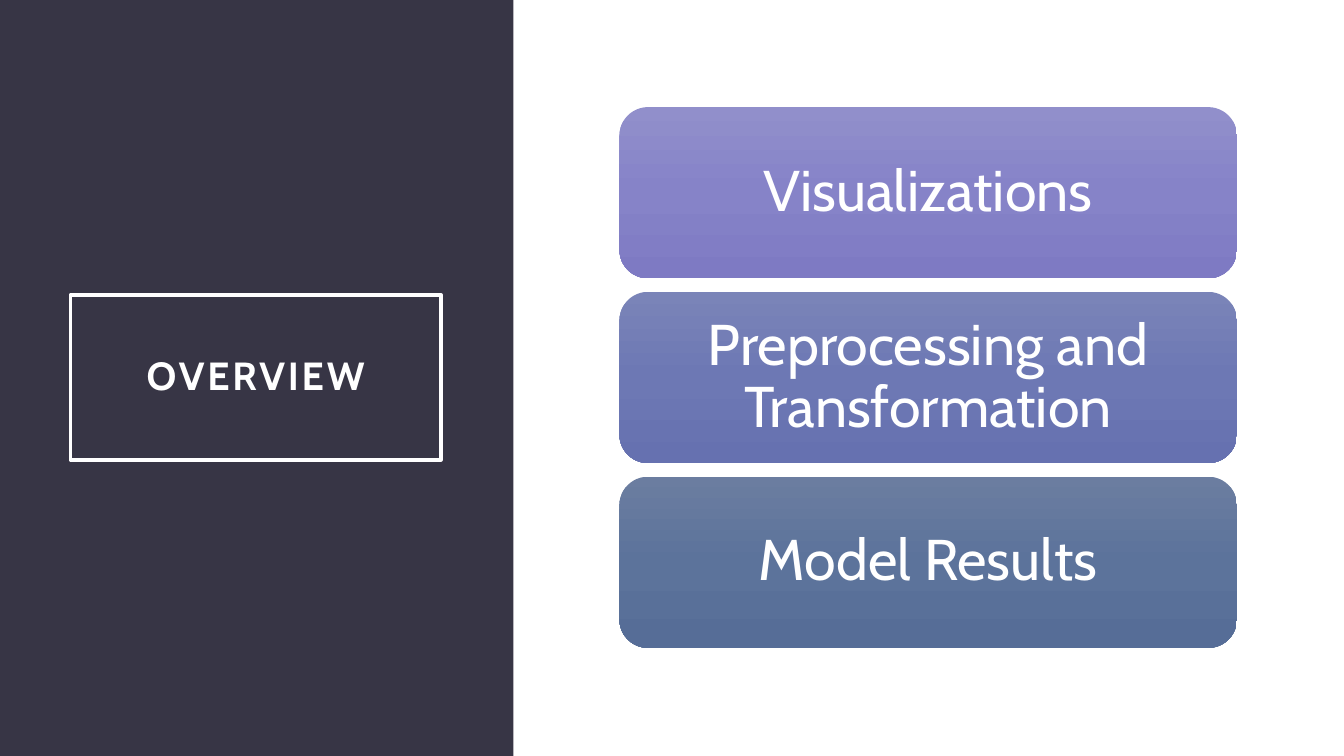
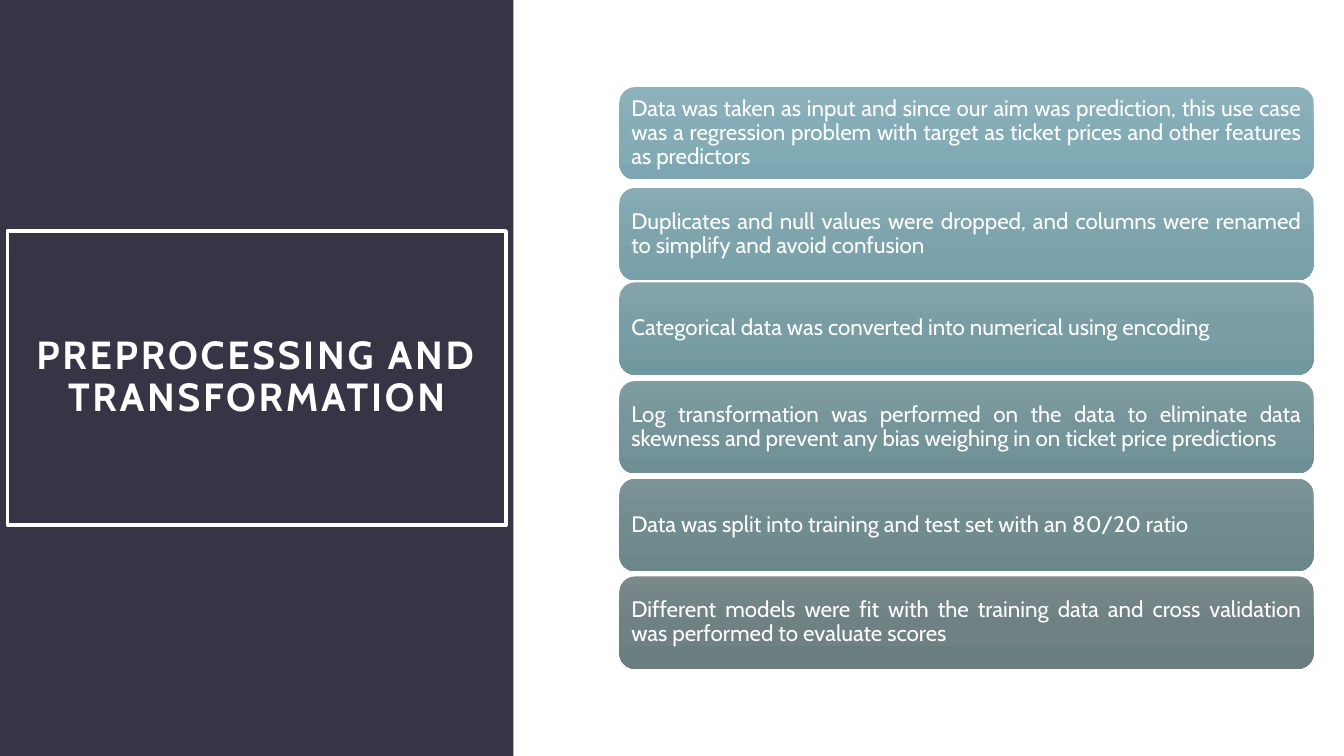
from copy import deepcopy

from pptx import Presentation
from pptx.dml.color import RGBColor
from pptx.enum.shapes import MSO_SHAPE as Shape
from pptx.enum.text import MSO_ANCHOR as Anchor, MSO_AUTO_SIZE as AutoSize, PP_ALIGN as Align
from pptx.oxml.ns import qn
from pptx.util import Pt

PX = 9525
FONT = "Cabin"
WHITE = "FFFFFF"
PANEL = "373545"
PANEL_WIDTH, SLIDE_WIDTH, SLIDE_HEIGHT = 489, 1280, 720
CARD_LEFT = 590


def color(code):
    return RGBColor.from_string(code)


def write(shape, text, size, align=Align.CENTER, inset=0, bold=False, tracking=0):
    """Set the shape's text; inset is in px, tracking in hundredths of a point."""
    frame = shape.text_frame
    frame.word_wrap = True
    frame.auto_size = AutoSize.NONE
    frame.vertical_anchor = Anchor.MIDDLE
    frame.margin_left = frame.margin_right = inset * PX
    frame.margin_top = frame.margin_bottom = inset * PX
    para = frame.paragraphs[0]
    para.alignment = align
    para.line_spacing = 0.9
    span = para.add_run()
    span.text = text
    span.font.name = FONT
    span.font.size = Pt(size)
    span.font.bold = bold
    span.font.color.rgb = color(WHITE)
    if tracking:
        span._r.get_or_add_rPr().set("spc", str(tracking))


# Each card: top, text, gradient colours from top to bottom
pages = [
    {
        "title": "OVERVIEW",
        "title_box": (67, 281, 353, 157),
        "card_size": (588, 163),
        "text_format": {"size": 41, "inset": 16},
        "cards": [
            (102, "Visualizations", ("918FCB", "8683C8", "7E7AC3")),
            (278, "Preprocessing and Transformation", ("7A84B8", "6D78B4", "6671B0")),
            (454, "Model Results", ("6B7DA0", "5C739B", "566D97")),
        ],
    },
    {
        "title": "PREPROCESSING AND TRANSFORMATION",
        "title_box": (7, 220, 475, 280),
        "card_size": (661, 88),
        "text_format": {"size": 16, "inset": 7, "align": Align.JUSTIFY},
        "cards": [
            (83, "Data was taken as input and since our aim was prediction, this use case "
                 "was a regression problem with target as ticket prices and other features "
                 "as predictors", ("8EB2BB", "83ACB7", "7CA7B2")),
            (179, "Duplicates and null values were dropped, and columns were renamed "
                  "to simplify and avoid confusion", ("89ABB3", "7EA5AE", "77A0A9")),
            (269, "Categorical data was converted into numerical using encoding",
             ("84A4AA", "799DA4", "72989F")),
            (363, "Log transformation was performed on the data to eliminate data "
                  "skewness and prevent any bias weighing in on ticket price predictions",
             ("809CA0", "75959A", "6E9095")),
            (456, "Data was split into training and test set with an 80/20 ratio",
             ("7C9397", "718C8F", "6B878B")),
            (549, "Different models were fit with the training data and cross validation was "
                  "performed to evaluate scores", ("7A8A8B", "6F8183", "6A7D7F")),
        ],
    },
]

deck = Presentation()
deck.slide_width = SLIDE_WIDTH * PX
deck.slide_height = SLIDE_HEIGHT * PX
title_only = deck.slide_layouts[5]

for page in pages:
    slide = deck.slides.add_slide(title_only)
    title = slide.shapes.title

    panel = slide.shapes.add_shape(Shape.RECTANGLE, 0, 0, PANEL_WIDTH * PX, SLIDE_HEIGHT * PX)
    panel.shadow.inherit = False
    panel.fill.solid()
    panel.fill.fore_color.rgb = color(PANEL)
    panel.line.fill.background()
    title.element.addprevious(panel.element)  # keep the panel behind the title

    title.left, title.top, title.width, title.height = [n * PX for n in page["title_box"]]
    title.line.color.rgb = color(WHITE)
    title.line.width = Pt(2.5)
    write(title, page["title"], 28, inset=19, bold=True, tracking=200)

    width, height = page["card_size"]
    for top, text, shades in page["cards"]:
        card = slide.shapes.add_shape(
            Shape.ROUNDED_RECTANGLE, CARD_LEFT * PX, top * PX, width * PX, height * PX)
        card.shadow.inherit = False
        card.line.fill.background()
        card.fill.gradient()
        card.fill.gradient_angle = 270
        stop_list = card.element.find(".//" + qn("a:gsLst"))
        stop_list.append(deepcopy(stop_list[-1]))
        for stop, position, shade in zip(card.fill.gradient_stops, (0, 0.5, 1), shades):
            stop.position = position
            stop.color.rgb = color(shade)
        write(card, text, **page["text_format"])

deck.save("out.pptx")
